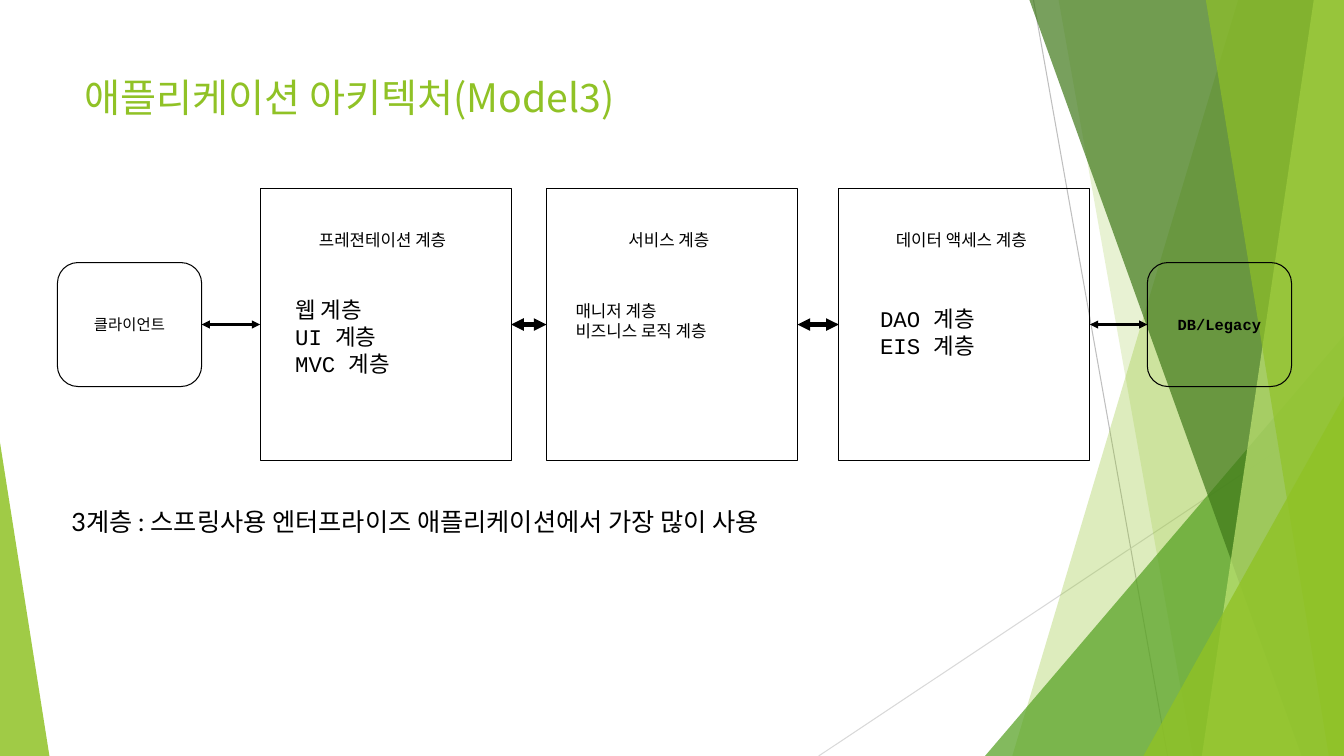
"""Build the three-layer application architecture slide."""
from itertools import pairwise
from typing import NamedTuple

from lxml import etree
from pptx import Presentation
from pptx import util as u
from pptx.dml.color import RGBColor
from pptx.enum import shapes, text
from pptx.oxml import ns

BLACK = RGBColor(0x00, 0x00, 0x00)
LIME = RGBColor(0x90, 0xC2, 0x26)
GREEN = RGBColor(0x54, 0xA0, 0x21)
FOREST = RGBColor(0x3F, 0x78, 0x19)
PALE_LIME = RGBColor(0xC0, 0xE4, 0x74)
GREY = RGBColor(0xBF, 0xBF, 0xBF)
LIGHT_GREY = RGBColor(0xD9, 0xD9, 0xD9)

KOREAN, BODY, MONO = "Noto Sans CJK KR", "Lato", "Courier New"
WIDTH, HEIGHT = 13.33, 7.5
MIDDLE = 3.22
END_WIDTH, END_HEIGHT = 1.43, 1.23
LAYER_WIDTH, LAYER_HEIGHT = 2.49, 2.7


class Band(NamedTuple):
    top_left: float
    bottom_left: float
    color: RGBColor
    opacity: int


class Wedge(NamedTuple):
    left: float
    top: float
    width: float
    apex: int
    color: RGBColor
    opacity: int


class Endpoint(NamedTuple):
    left: float
    label: str
    bold: bool


class Layer(NamedTuple):
    left: float
    heading: str
    entries: list[str]
    entries_left: float
    entries_top: float
    entries_size: int


BACK_BANDS = [Band(12.28, 10.04, LIME, 30), Band(10.5, 11.83, LIME, 20)]
FRONT_BANDS = [Band(10.21, 12.91, FOREST, 70), Band(13.03, 11.92, PALE_LIME, 70),
               Band(11.96, 13.18, LIME, 65)]
BACK_WEDGES = [Wedge(9.77, 3.33, 3.56, 1, GREEN, 72)]
FRONT_WEDGES = [Wedge(11.34, 3.93, 1.99, 1, LIME, 80), Wedge(0, 4.39, 0.49, 0, LIME, 85)]
CLIENT = Endpoint(0.57, "클라이언트", False)
DATABASE = Endpoint(11.38, "DB/Legacy", True)
LAYERS = [
    Layer(2.58, "프레젼테이션 계층", ["웹 계층", "UI 계층", "MVC 계층"], 2.83, 2.89, 16),
    Layer(5.42, "서비스 계층", ["매니저 계층", "비즈니스 로직 계층"], 5.61, 2.93, 12),
    Layer(8.32, "데이터 액세스 계층", ["DAO 계층", "EIS 계층"], 8.63, 2.98, 16),
]


def tint(shape, color: RGBColor, opacity: int) -> None:
    """Fill a borderless decoration with a translucent colour."""
    shape.shadow.inherit = False
    shape.line.fill.background()
    shape.fill.solid()
    shape.fill.fore_color.rgb = color
    fill = shape.fill._xPr.find(ns.qn("a:solidFill"))[0]
    etree.SubElement(fill, ns.qn("a:alpha"), val=str(opacity * 1000))


def add_band(slide, band: Band) -> None:
    """Draw a full-height band that reaches the right edge."""
    corners = [(WIDTH, 0), (WIDTH, HEIGHT), (band.bottom_left, HEIGHT)]
    outline = slide.shapes.build_freeform(u.Inches(band.top_left), 0)
    outline.add_line_segments([(u.Inches(x), u.Inches(y)) for x, y in corners])
    tint(outline.convert_to_shape(), band.color, band.opacity)


def add_wedge(slide, wedge: Wedge) -> None:
    """Draw a right triangle that stands on the bottom edge."""
    triangle = slide.shapes.add_shape(
        shapes.MSO_SHAPE.ISOSCELES_TRIANGLE, u.Inches(wedge.left), u.Inches(wedge.top),
        u.Inches(wedge.width), u.Inches(HEIGHT - wedge.top))
    triangle.adjustments[0] = wedge.apex
    tint(triangle, wedge.color, wedge.opacity)


def add_line(slide, start: tuple[float, float], end: tuple[float, float],
             color: RGBColor, weight: float, arrows: bool = False) -> None:
    """Draw a straight line, with arrowheads at both ends if asked."""
    line = slide.shapes.add_connector(
        shapes.MSO_CONNECTOR.STRAIGHT, *(u.Inches(v) for v in (*start, *end)))
    line.line.color.rgb = color
    line.line.width = u.Pt(weight)
    if arrows:
        for tag in ("a:headEnd", "a:tailEnd"):
            etree.SubElement(line.line._get_or_add_ln(), ns.qn(tag), type="triangle")
    etree.SubElement(line._element.spPr, ns.qn("a:effectLst"))


def write(frame, lines: list[str], size: int, font: str, color: RGBColor = BLACK,
          align: text.PP_ALIGN = text.PP_ALIGN.LEFT, bold: bool = False) -> None:
    """Write one paragraph per line in a wrapping text frame."""
    frame.word_wrap = True
    for index, line in enumerate(lines):
        paragraph = frame.add_paragraph() if index else frame.paragraphs[0]
        paragraph.alignment = align
        run = paragraph.add_run()
        run.text = line
        run.font.size = u.Pt(size)
        run.font.name = font
        run.font.bold = bold
        run.font.color.rgb = color
        east_asian = etree.SubElement(run.font._element, ns.qn("a:ea"))
        east_asian.set("typeface", KOREAN)


def add_text(slide, left: float, top: float, width: float, height: float):
    """Add a text box and return its frame."""
    return slide.shapes.add_textbox(
        *(u.Inches(v) for v in (left, top, width, height))).text_frame


def add_outline(slide, preset: shapes.MSO_SHAPE, left: float, width: float, height: float):
    """Draw an unfilled black outline centred on the flow."""
    outline = slide.shapes.add_shape(
        preset, u.Inches(left), u.Inches(MIDDLE - height / 2), u.Inches(width), u.Inches(height))
    outline.shadow.inherit = False
    outline.fill.background()
    outline.line.color.rgb = BLACK
    outline.line.width = u.Pt(0.75)
    return outline


def add_endpoint(slide, endpoint: Endpoint) -> None:
    """Draw a labelled end of the flow."""
    frame = add_outline(slide, shapes.MSO_SHAPE.ROUNDED_RECTANGLE, endpoint.left,
                        END_WIDTH, END_HEIGHT).text_frame
    frame.margin_left = frame.margin_right = frame.margin_top = frame.margin_bottom = 0
    frame.vertical_anchor = text.MSO_ANCHOR.MIDDLE
    write(frame, [endpoint.label], 11, MONO, align=text.PP_ALIGN.CENTER, bold=endpoint.bold)


def add_layer(slide, layer: Layer) -> None:
    """Draw a layer with its heading and entries."""
    add_outline(slide, shapes.MSO_SHAPE.RECTANGLE, layer.left, LAYER_WIDTH, LAYER_HEIGHT)
    write(add_text(slide, layer.left + 0.15, 2.23, 2.13, 0.47), [layer.heading], 12, MONO,
          align=text.PP_ALIGN.CENTER)
    write(add_text(slide, layer.entries_left, layer.entries_top, 2.1, 1), layer.entries,
          layer.entries_size, MONO)


def main() -> None:
    """Assemble and save the slide."""
    deck = Presentation()
    deck.slide_width, deck.slide_height = u.Inches(WIDTH), u.Inches(HEIGHT)
    slide = deck.slides.add_slide(deck.slide_layouts[5])

    add_line(slide, (10.25, 0), (11.58, HEIGHT), GREY, 0.75)
    add_line(slide, (WIDTH, 4.03), (8.12, HEIGHT), LIGHT_GREY, 0.75)
    for bands, wedges in ((BACK_BANDS, BACK_WEDGES), (FRONT_BANDS, FRONT_WEDGES)):
        for band in bands:
            add_band(slide, band)
        for wedge in wedges:
            add_wedge(slide, wedge)

    title = slide.shapes.title
    title.left, title.top = u.Inches(0.74), u.Inches(0.67)
    title.width, title.height = u.Inches(9.4), u.Inches(0.59)
    title.text_frame.auto_size = text.MSO_AUTO_SIZE.NONE
    title.text_frame.vertical_anchor = text.MSO_ANCHOR.MIDDLE
    write(title.text_frame, ["애플리케이션 아키텍처(Model3)"], 28, KOREAN, LIME)
    write(add_text(slide, 0.61, 4.97, 9.65, 0.71),
          ["3계층 : 스프링사용 엔터프라이즈 애플리케이션에서 가장 많이 사용"], 18, BODY)

    for endpoint in (CLIENT, DATABASE):
        add_endpoint(slide, endpoint)
    for layer in LAYERS:
        add_layer(slide, layer)
    stops = [(CLIENT.left, END_WIDTH), *((layer.left, LAYER_WIDTH) for layer in LAYERS),
             (DATABASE.left, END_WIDTH)]
    for ((left, width), (following, _)), weight in zip(pairwise(stops), (1.5, 3, 3, 1.5)):
        add_line(slide, (left + width, MIDDLE), (following, MIDDLE), BLACK, weight, arrows=True)

    deck.save("out.pptx")


main()
